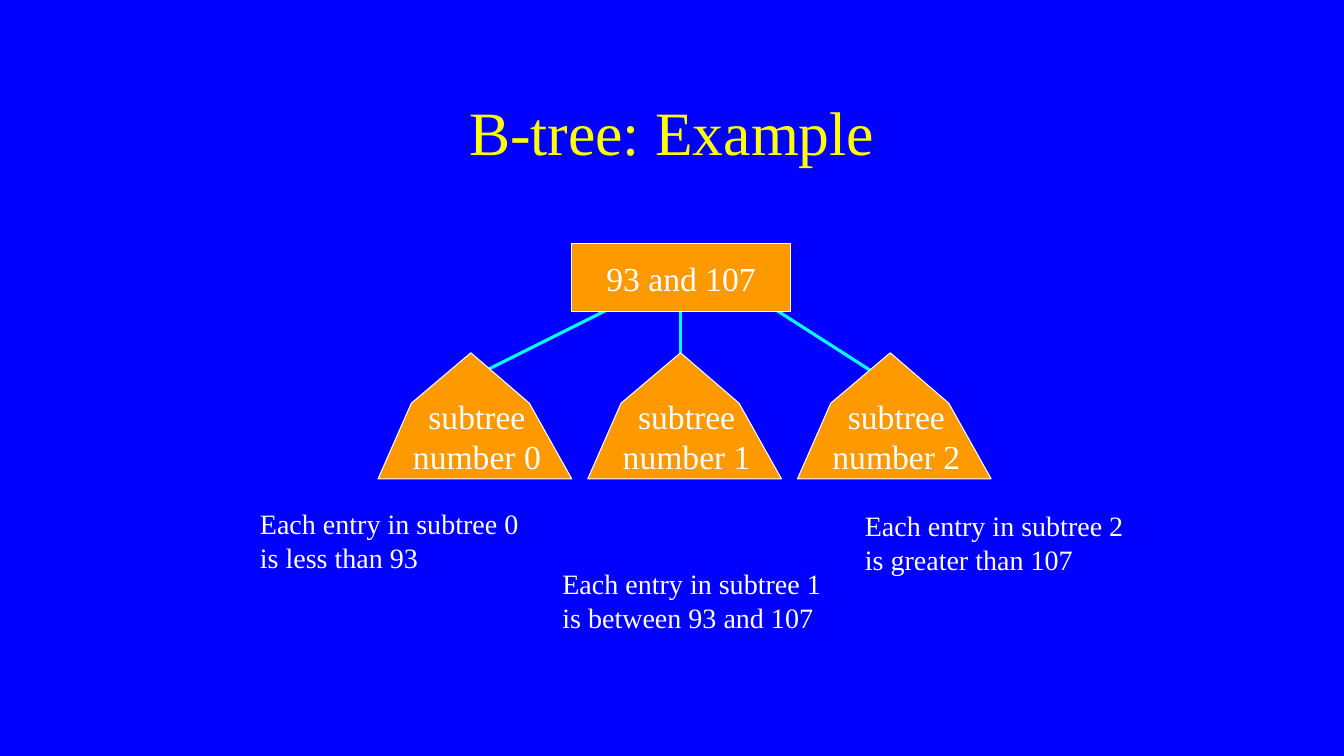
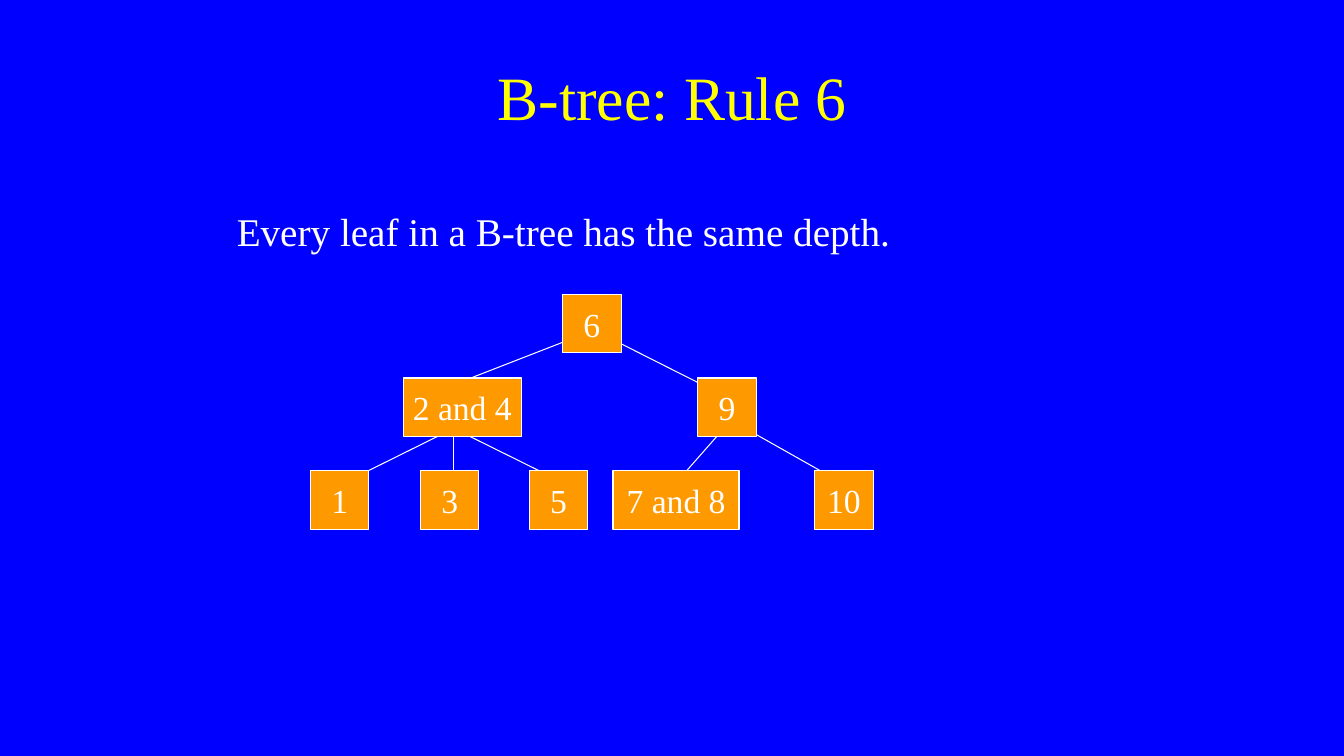
from lxml import etree
from pptx import Presentation
from pptx.dml.color import RGBColor
from pptx.enum import shapes, text
from pptx.oxml import ns
from pptx.util import Inches, Pt

BLUE = RGBColor(0x00, 0x00, 0xFF)
YELLOW = RGBColor(0xFF, 0xFF, 0x00)
CYAN = RGBColor(0x00, 0xFF, 0xFF)
ORANGE = RGBColor(0xFF, 0x99, 0x00)
WHITE = RGBColor(0xFF, 0xFF, 0xFF)
FONT = "Times New Roman"
CENTER = text.PP_ALIGN.CENTER

TITLES = [
    ("B-tree: Example", (1, 0.67, 11.33, 1.25)),
    ("B-tree: Rule 6", (2.42, 0.33, 8.5, 1.25)),
]

ROOT = ("93 and 107", (5.67, 2.42, 2.17, 0.67))
SPOKES = [
    (6.17, 3, 4.67, 3.75),
    (7.58, 3, 8.75, 3.75),
    (6.75, 3, 6.75, 3.75),
]
OUTLINE = [(0.92, 0), (0.33, 0.5), (0, 1.25), (1.92, 1.25), (1.5, 0.5)]
LEFT, TOP, STEP = 3.75, 3.5, 2.08
NOTES = [
    ("Each entry in subtree 0 is less than 93", 4.98),
    ("Each entry in subtree 1 is between 93 and 107", 5.57),
    ("Each entry in subtree 2 is greater than 107", 5),
]

RULE = "Every leaf in a B-tree has the same depth."
SIDE = 0.58
ROWS = [
    (2.92, [("6", 5.58, SIDE)]),
    (3.75, [("2 and 4", 4, 1.17), ("9", 6.92, SIDE)]),
    (4.67, [("1", 3.08, SIDE), ("3", 4.17, SIDE), ("5", 5.25, SIDE),
            ("7 and 8", 6.08, 1.25), ("10", 8.08, SIDE)]),
]
EDGES = [
    (5.75, 3.33, 4.67, 3.75),
    (6, 3.33, 7.17, 3.92),
    (4.5, 4.25, 3.33, 4.83),
    (4.5, 4.17, 4.5, 4.83),
    (4.5, 4.25, 5.67, 4.83),
    (7.25, 4.17, 6.67, 4.83),
    (7.25, 4.17, 8.42, 4.83),
]


def place(*sizes):
    return [Inches(size) for size in sizes]


def write(shape, lines, size, color=WHITE, align=None, wrap=True, middle=False):
    frame = shape.text_frame
    frame.word_wrap = wrap
    frame.vertical_anchor = text.MSO_ANCHOR.MIDDLE if middle else text.MSO_ANCHOR.TOP
    frame.text = lines
    for para in frame.paragraphs:
        para.alignment = align
        para.font.name = FONT
        para.font.size = Pt(size)
        para.font.color.rgb = color
    return frame


def label(slide, lines, box, size, **style):
    return write(slide.shapes.add_textbox(*place(*box)), lines, size, **style)


def paint(shape):
    shape.shadow.inherit = False
    shape.fill.solid()
    shape.fill.fore_color.rgb = ORANGE
    shape.line.color.rgb = WHITE
    shape.line.width = Pt(0.75)


def node(slide, name, box):
    shape = slide.shapes.add_shape(shapes.MSO_SHAPE.RECTANGLE, *place(*box))
    paint(shape)
    write(shape, name, 24, align=CENTER, wrap=False, middle=True)


def link(slide, ends, color, width):
    line = slide.shapes.add_connector(shapes.MSO_CONNECTOR.STRAIGHT, *place(*ends))
    line.line.color.rgb = color
    line.line.width = Pt(width)
    etree.SubElement(line._element.spPr, ns.qn("a:effectLst"))


def subtree(slide, index):
    left = LEFT + index * STEP
    points = [place(left + x, TOP + y) for x, y in OUTLINE]
    path = slide.shapes.build_freeform(*points[0], scale=1.0)
    path.add_line_segments(points[1:], close=True)
    paint(path.convert_to_shape())
    label(slide, f"subtree\nnumber {index}", (left + 0.24, TOP + 0.38, 1.48, 0.91),
          24, align=CENTER, wrap=False)


def start(deck, title, box):
    slide = deck.slides.add_slide(deck.slide_layouts[6])
    label(slide, title, box, 44, color=YELLOW, align=CENTER, middle=True)
    return slide


def example(slide):
    for ends in SPOKES:
        link(slide, ends, CYAN, 2.25)
    node(slide, *ROOT)
    for index, (note, top) in enumerate(NOTES):
        subtree(slide, index)
        label(slide, note, (2.48 + 3 * index, top, 2.93, 0.77), 20)


def depth(slide):
    frame = label(slide, RULE, (2.25, 2.06, 8.58, 0.52), 28)
    frame.paragraphs[0].line_spacing = 0.9
    for ends in EDGES:
        link(slide, ends, WHITE, 0.75)
    for top, row in ROWS:
        for name, left, width in row:
            node(slide, name, (left, top, width, SIDE))


def main():
    deck = Presentation()
    deck.slide_width, deck.slide_height = place(13.33, 7.5)
    back = deck.slide_master.background.fill
    back.solid()
    back.fore_color.rgb = BLUE
    for heading, draw in zip(TITLES, (example, depth)):
        draw(start(deck, *heading))
    deck.save("out.pptx")


if __name__ == "__main__":
    main()
